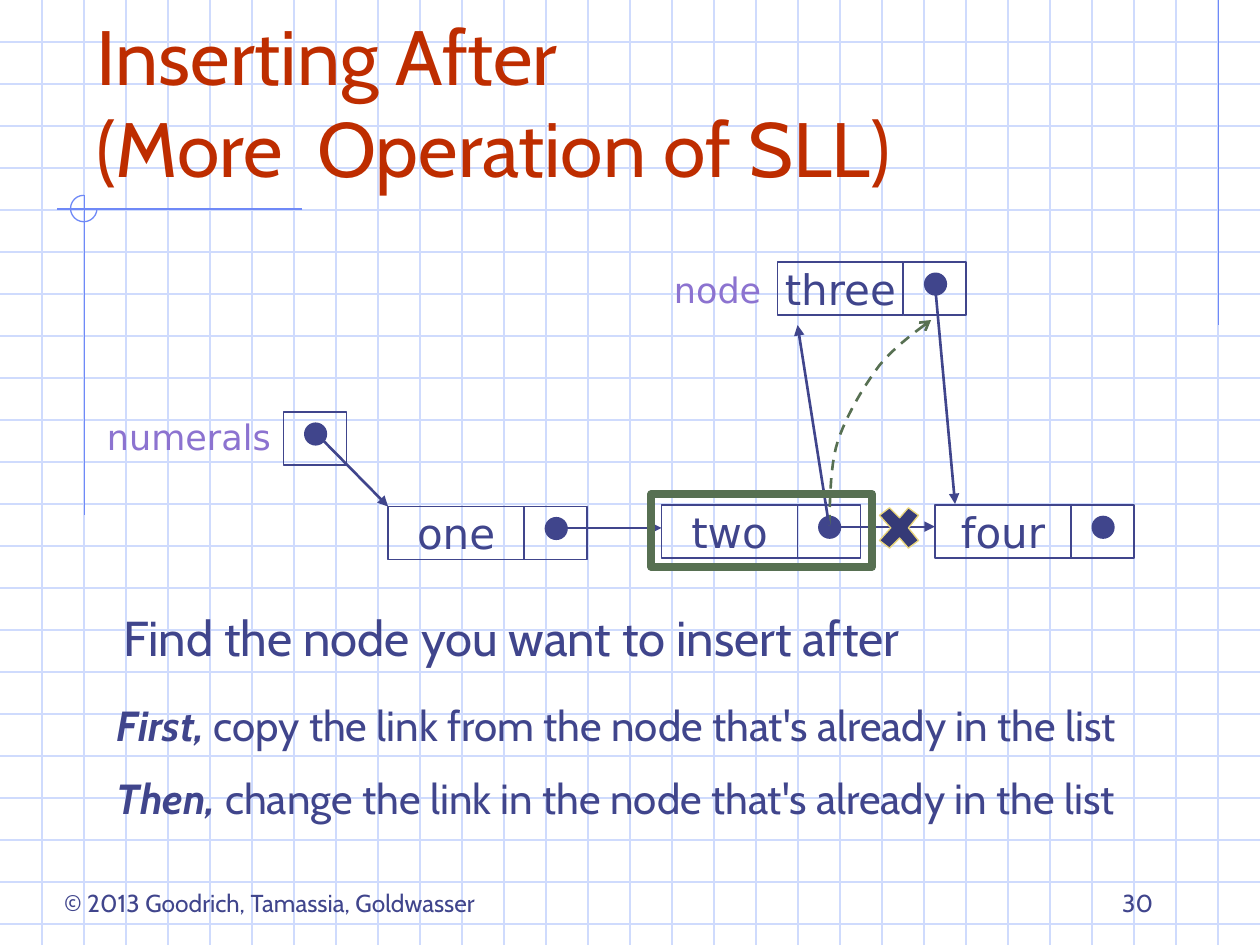
"""Build the slide on inserting a node after another in a singly linked list."""
import dataclasses

import lxml.etree
import pptx
import pptx.dml.color
import pptx.enum.dml
import pptx.enum.shapes
import pptx.enum.text
import pptx.oxml.ns
import pptx.util

Inches = pptx.util.Inches
SHAPE = pptx.enum.shapes.MSO_SHAPE
ALIGN = pptx.enum.text.PP_ALIGN
ANCHOR = pptx.enum.text.MSO_ANCHOR


@dataclasses.dataclass(frozen=True)
class Theme:
    ink: str = "40458C"
    title: str = "BE2D00"
    label: str = "8C73D0"
    grid: str = "CFDBFD"
    rule: str = "6F89F7"
    accent: str = "577052"
    cross_fill: str = "353A77"
    cross_line: str = "E9D57C"
    body_font: str = "Cabin"
    node_font: str = "DejaVu Sans"
    title_size: int = 44
    lead_size: int = 28
    body_size: int = 24
    label_size: int = 20
    footer_size: int = 14
    thin: float = 0.75
    normal: float = 1
    medium: float = 1.5
    thick: float = 4.5


def rgb(color):
    return pptx.dml.color.RGBColor.from_string(color)


def add_text(p, text, *, size, color, font, bold=False, italic=False):
    for i, line in enumerate(text.split("\n")):
        if i:
            p.add_line_break()
        r = p.add_run()
        r.text = line
        r.font.size = pptx.util.Pt(size)
        r.font.name = font
        r.font.color.rgb = rgb(color)
        r.font.bold = bold
        r.font.italic = italic


def bezier(p0, p1, p2, p3, steps=12):
    for i in range(1, steps + 1):
        t = i / steps
        u = 1 - t
        yield tuple(
            u**3 * a + 3 * u**2 * t * b + 3 * u * t**2 * c + t**3 * d
            for a, b, c, d in zip(p0, p1, p2, p3)
        )


class SlideBuilder:
    CELL_HEIGHT = 0.42
    LINK_WIDTH = 0.5
    DOT = 0.17

    def __init__(self, slide, theme):
        self.shapes = slide.shapes
        self.theme = theme

    def stroke(self, sp, color, width, dash=None, arrow=None):
        sp.line.color.rgb = rgb(color)
        sp.line.width = pptx.util.Pt(width)
        if dash:
            sp.line.dash_style = dash
        if arrow:
            qn = pptx.oxml.ns.qn
            ln = sp.element.spPr.find(qn("a:ln"))
            lxml.etree.SubElement(ln, qn("a:tailEnd"), type=arrow)

    def paint(self, sp, fill, color, width, **line):
        sp.shadow.inherit = False
        if fill:
            sp.fill.solid()
            sp.fill.fore_color.rgb = rgb(fill)
        else:
            sp.fill.background()
        self.stroke(sp, color, width, **line)

    def line(self, start, end, color, width, arrow=None):
        sp = self.shapes.add_connector(
            pptx.enum.shapes.MSO_CONNECTOR.STRAIGHT,
            *(Inches(v) for v in (*start, *end)))
        self.stroke(sp, color, width, arrow=arrow)
        lxml.etree.SubElement(sp.element.spPr, pptx.oxml.ns.qn("a:effectLst"))

    def link(self, start, end, width):
        self.line(start, end, self.theme.ink, width, arrow="triangle")

    def shape(self, kind, box, color, width, fill=None):
        sp = self.shapes.add_shape(kind, *(Inches(v) for v in box))
        self.paint(sp, fill, color, width)
        return sp

    def outline(self, points, closed, fill, color, width, **line):
        points = [(Inches(x), Inches(y)) for x, y in points]
        builder = self.shapes.build_freeform(*points[0])
        builder.add_line_segments(points[1:], close=closed)
        self.paint(builder.convert_to_shape(), fill, color, width, **line)

    def text(self, box, *runs, align=ALIGN.LEFT, anchor=ANCHOR.TOP, wrap=True):
        sp = self.shapes.add_textbox(*(Inches(v) for v in box))
        tf = sp.text_frame
        tf.word_wrap = wrap
        tf.vertical_anchor = anchor
        p = tf.paragraphs[0]
        p.alignment = align
        for text, style in runs:
            add_text(p, text, **style)

    def pointer(self, left, top):
        t = self.theme
        self.shape(SHAPE.RECTANGLE, (left, top, self.LINK_WIDTH, self.CELL_HEIGHT),
                   t.ink, t.normal)
        self.shape(SHAPE.OVAL, (left + 0.17, top + 0.09, self.DOT, self.DOT),
                   t.ink, t.normal, fill=t.ink)

    def node(self, word, left, top, width=1.08):
        t = self.theme
        sp = self.shape(SHAPE.RECTANGLE, (left, top, width, self.CELL_HEIGHT),
                        t.ink, t.normal)
        tf = sp.text_frame
        tf.word_wrap = False
        tf.vertical_anchor = ANCHOR.MIDDLE
        p = tf.paragraphs[0]
        p.alignment = ALIGN.CENTER
        add_text(p, word, size=t.body_size, color=t.ink, font=t.node_font)
        self.pointer(left + width, top)


def draw_background(s, t):
    for i in range(1, 23):
        s.line((0, i / 3), (10, i / 3), t.grid, t.thin)
    for i in range(1, 30):
        s.line((i / 3, 0), (i / 3, 7.5), t.grid, t.thin)
    for start, end in [((9.67, 0), (9.67, 2.58)), ((2.4, 1.66), (0.45, 1.66)),
                       ((0.67, 1.55), (0.67, 4.09))]:
        s.line(start, end, t.rule, t.thin)
    arc = s.shape(SHAPE.ARC, (0.56, 1.55, 0.21, 0.21), t.rule, t.thin)
    arc.adjustments[0] = 0
    arc.adjustments[1] = 162


def draw_list(s, t):
    label = dict(size=t.label_size, color=t.label, font=t.node_font)
    for word, left, top in [("four", 7.42, 4.01), ("two", 5.25, 4.01), ("one", 3.08, 4.02)]:
        s.node(word, left, top)
    s.link((6.58, 4.18), (7.42, 4.18), t.normal)
    s.link((4.42, 4.19), (5.25, 4.19), t.normal)
    s.pointer(2.25, 3.27)
    s.text((0.75, 3.25, 1.58, 0.44), ("numerals", label))
    s.link((2.5, 3.43), (3.08, 4.02), t.medium)
    s.node("three", 6.17, 2.08, width=1)
    s.text((5.25, 2.08, 0.92, 0.44), ("node", label))


def draw_insertion(s, t):
    start, middle, end = (6.58, 4.17), (6.65, 3.5), (6.98, 2.9)
    curve = [start,
             *bezier(start, (6.59, 4.06), (6.58, 3.71), middle),
             *bezier(middle, (6.72, 3.29), (6.86, 3.06), end),
             *bezier(end, (7.11, 2.74), (7.3, 2.61), (7.39, 2.54))]
    s.outline(curve, False, None, t.accent, t.medium,
              dash=pptx.enum.dml.MSO_LINE.DASH, arrow="arrow")
    s.link((7.42, 2.25), (7.58, 4), t.medium)
    s.link(start, (6.33, 2.58), t.medium)
    s.shape(SHAPE.RECTANGLE, (5.17, 3.92, 1.75, 0.58), t.accent, t.thick)
    cross = [(6.98, 4.09), (7.06, 4.03), (7.14, 4.11), (7.21, 4.03), (7.29, 4.09), (7.21, 4.19),
             (7.29, 4.29), (7.21, 4.35), (7.14, 4.27), (7.06, 4.35), (6.98, 4.29), (7.07, 4.19)]
    s.outline(cross, True, t.cross_fill, t.cross_line, t.thin)


def write_text(s, t):
    plain = dict(size=t.body_size, color=t.ink, font=t.body_font)
    strong = dict(plain, bold=True, italic=True)
    footer = dict(plain, size=t.footer_size)
    s.text((0.67, 0.33, 8.5, 1.25),
           ("Inserting After\n(More  Operation of SLL)",
            dict(plain, size=t.title_size, color=t.title)), anchor=ANCHOR.BOTTOM)
    s.text((0.88, 4.77, 8.08, 0.57),
           ("Find the node you want to insert after", dict(plain, size=t.lead_size)))
    for top, lead, rest in [(5.5, "First,", " copy the link from"),
                            (6.08, "Then,", " change the link in")]:
        s.text((0.83, top, 9, 0.5), (lead, strong),
               (rest + " the node that's already in the list", plain))
    s.text((0.2, 7, 3.88, 0.34), ("© 2013 Goodrich, Tamassia, Goldwasser", footer),
           align=ALIGN.CENTER, wrap=False)
    s.text((7.17, 6.83, 2.08, 0.5), ("30", footer), align=ALIGN.RIGHT, anchor=ANCHOR.BOTTOM)


def main():
    prs = pptx.Presentation()
    prs.slide_width, prs.slide_height = Inches(10), Inches(7.5)
    theme = Theme()
    s = SlideBuilder(prs.slides.add_slide(prs.slide_layouts[6]), theme)
    for draw in (draw_background, draw_list, draw_insertion, write_text):
        draw(s, theme)
    prs.save("out.pptx")


if __name__ == "__main__":
    main()
